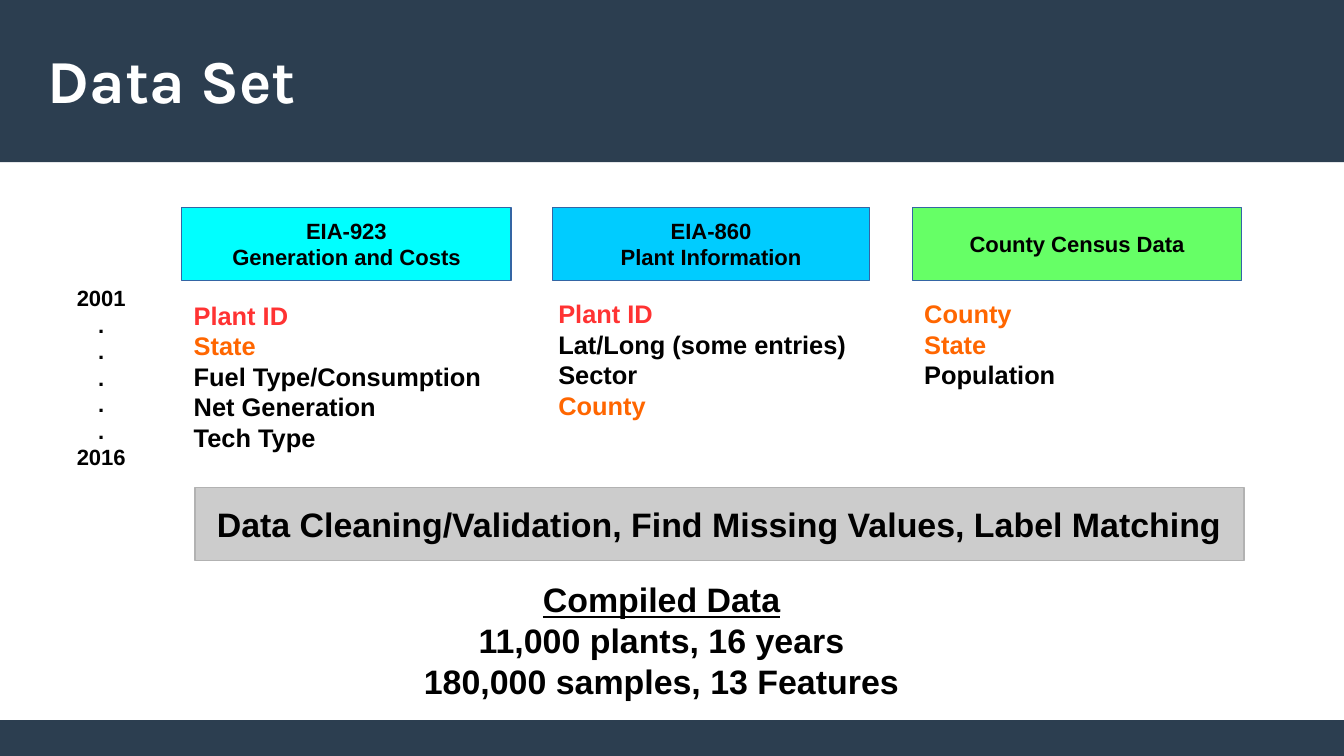
from pptx import Presentation
from pptx.dml.color import RGBColor
from pptx.enum.shapes import MSO_SHAPE as Shape
from pptx.enum.text import MSO_ANCHOR as Anchor, MSO_AUTO_SIZE as AutoSize, PP_ALIGN as Align
from pptx.util import Pt

WIDTH, HEIGHT = 793.44, 446.4
NAVY = RGBColor(0x2C, 0x3E, 0x50)
WHITE = RGBColor(0xFF, 0xFF, 0xFF)
BLACK = RGBColor(0, 0, 0)
RED = RGBColor(0xFF, 0x33, 0x33)
ORANGE = RGBColor(0xFF, 0x66, 0x00)
CYAN = RGBColor(0x00, 0xFF, 0xFF)
SKY = RGBColor(0x00, 0xCC, 0xFF)
GREEN = RGBColor(0x66, 0xFF, 0x66)
BLUE_EDGE = RGBColor(0x34, 0x65, 0xA4)
GREY = RGBColor(0xCC, 0xCC, 0xCC)
GREY_EDGE = RGBColor(0xB2, 0xB2, 0xB2)

SOURCES = [
    (107.28, 194.4, 107.28, 173.52, CYAN, ["EIA-923", "Generation and Costs"],
     [("Plant ID", RED), ("State", ORANGE), "Fuel Type/Consumption", "Net Generation", "Tech Type"]),
    (326.16, 187.2, 322.56, 172.8, SKY, ["EIA-860", "Plant Information"],
     [("Plant ID", RED), "Lat/Long (some entries)", "Sector", ("County", ORANGE)]),
    (538.56, 194.4, 538.56, 172.8, GREEN, ["County Census Data"],
     [("County", ORANGE), ("State", ORANGE), "Population"]),
]


def write(frame, lines, size, font="Arial", color=BLACK, align=Align.CENTER,
          anchor=Anchor.MIDDLE, inset=(7.2, 3.6), underlined=()):
    """Fill a text frame with bold lines, each a string or a (string, colour) pair."""
    frame.word_wrap = True
    frame.auto_size = AutoSize.NONE
    frame.vertical_anchor = anchor
    frame.margin_left = frame.margin_right = Pt(inset[0])
    frame.margin_top = frame.margin_bottom = Pt(inset[1])
    for index, line in enumerate(lines):
        words, line_color = (line, color) if isinstance(line, str) else line
        paragraph = frame.add_paragraph() if index else frame.paragraphs[0]
        paragraph.alignment = align
        run = paragraph.add_run()
        run.text = words
        run.font.name = font
        run.font.size = Pt(size)
        run.font.bold = True
        run.font.color.rgb = line_color
        if words in underlined:
            run.font.underline = True


def add_block(slide, box, fill, edge=None):
    """Add a filled rectangle with an optional hairline edge."""
    block = slide.shapes.add_shape(Shape.RECTANGLE, *map(Pt, box))
    block.shadow.inherit = False
    block.fill.solid()
    block.fill.fore_color.rgb = fill
    if edge is None:
        block.line.fill.background()
    else:
        block.line.color.rgb = edge
        block.line.width = Pt(0)
    return block


def add_text(slide, box, lines, size, **style):
    """Add a text box holding the given lines."""
    write(slide.shapes.add_textbox(*map(Pt, box)).text_frame, lines, size, **style)


def add_frame(slide, box, heading):
    """Draw the footer and header bands and set the title inside the header."""
    left, top, width, height = box
    add_block(slide, (left, top + height - 21.2, width, 21.2), NAVY)
    add_block(slide, (left, top, width, 95.76), NAVY)
    title = slide.shapes.title
    title.left, title.top = Pt(left + 28.08), Pt(top + 18)
    title.width, title.height = Pt(737.28), Pt(56.88)
    write(title.text_frame, [heading], 36, font="Karla", color=WHITE, align=Align.LEFT, inset=(0, 0))
    title.element.getparent().append(title.element)


def add_source(slide, header_box, fields_box, fill, heading, fields):
    """Draw one data source: a coloured header and its list of fields."""
    header = add_block(slide, header_box, fill, BLUE_EDGE)
    write(header.text_frame, heading, 13)
    add_text(slide, fields_box, fields, 15, align=Align.LEFT, anchor=Anchor.TOP)


def add_years(slide, box):
    """Write the range of years as a vertical run of dots."""
    add_text(slide, box, ["2001", *"." * 5, "2016"], 13)


def add_result(slide, box):
    """Draw the processing bar and the summary of the compiled data below it."""
    left, top, width, height = box
    processing = add_block(slide, (left, top, width, 43.2), GREY, GREY_EDGE)
    write(processing.text_frame, ["Data Cleaning/Validation, Find Missing Values, Label Matching"], 20)
    add_text(slide, (left + 126, top + 50.4, 298.8, height - 50.4),
             ["Compiled Data", "11,000 plants, 16 years", "180,000 samples, 13 Features"],
             20, anchor=Anchor.TOP, underlined=["Compiled Data"])


def main():
    """Build the data set slide."""
    deck = Presentation()
    deck.slide_width, deck.slide_height = Pt(WIDTH), Pt(HEIGHT)
    slide = deck.slides.add_slide(deck.slide_layouts[5])
    add_frame(slide, (0, 0, WIDTH, HEIGHT), "Data Set")
    for left, width, fields_left, fields_top, fill, heading, fields in SOURCES:
        add_source(slide, (left, 122.4, width, 43.2), (fields_left, fields_top, 194.4, 105),
                   fill, heading, fields)
    add_years(slide, (12.96, 162, 93.6, 121.68))
    add_result(slide, (115.2, 288, 619.2, 129.6))
    deck.save("out.pptx")


if __name__ == "__main__":
    main()
